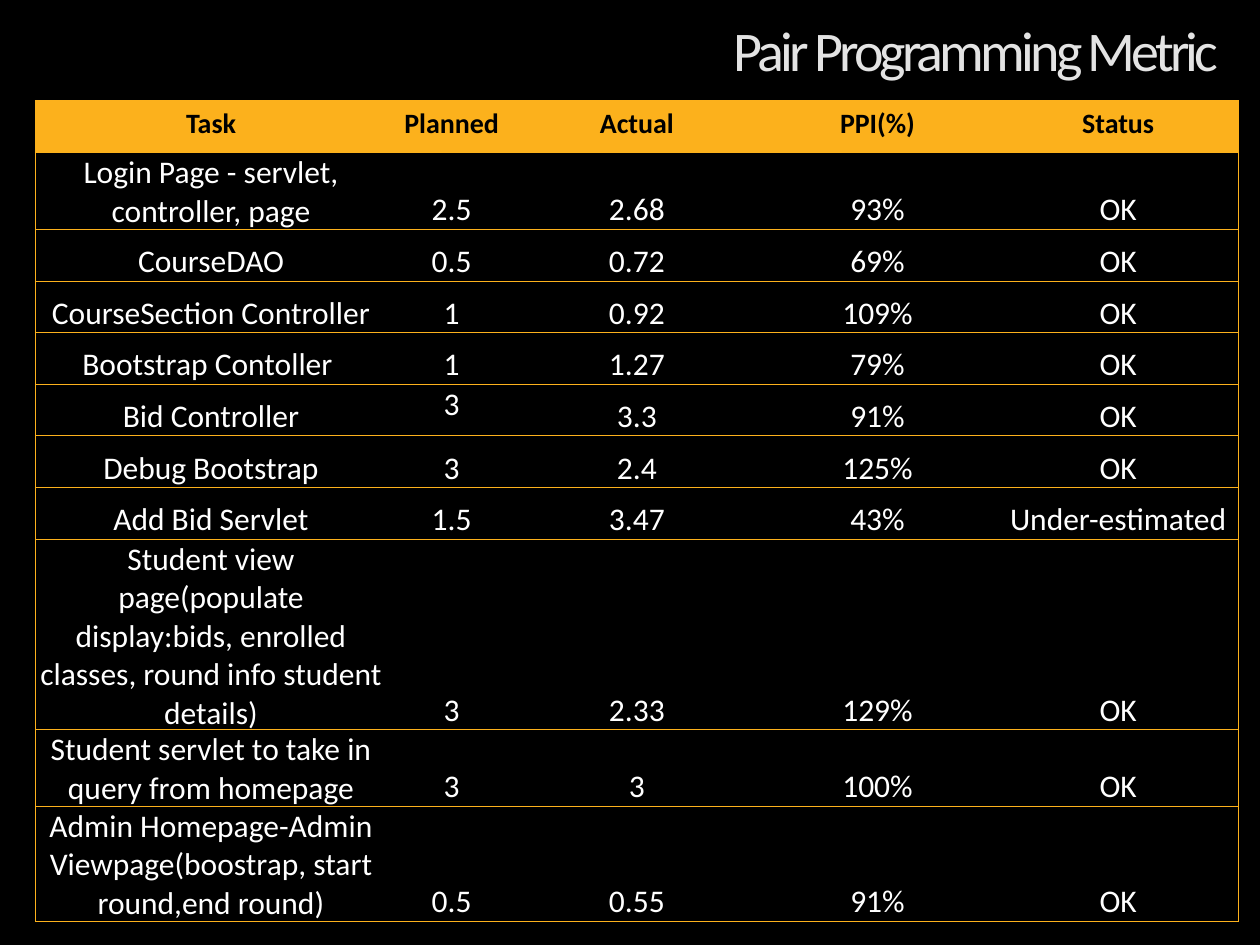
from dataclasses import dataclass

from lxml import etree
from pptx import Presentation
from pptx import util as u
from pptx.dml.color import RGBColor
from pptx.enum import text
from pptx.oxml import ns


@dataclass(frozen=True)
class Theme:
    """Colours, font and type sizes of the slide."""
    font: str = "Calibri"
    backdrop: str = "000000"
    accent: str = "FCB11C"
    heading: str = "E3E3E3"
    header: str = "000000"
    body: str = "FFFFFF"
    heading_size: int = 32
    header_size: int = 16
    body_size: int = 18
    rule: float = 0.5


HEADINGS = ("Task", "Planned", "Actual", "PPI(%)", "Status")
TASKS = (
    ("Login Page - servlet, controller, page", "2.5", "2.68", "93%", "OK"),
    ("CourseDAO", "0.5", "0.72", "69%", "OK"),
    ("CourseSection Controller", "1", "0.92", "109%", "OK"),
    ("Bootstrap Contoller ", "1", "1.27", "79%", "OK"),
    ("Bid Controller", "3", "3.3", "91%", "OK"),
    ("Debug Bootstrap", "3", "2.4", "125%", "OK"),
    ("Add Bid Servlet", "1.5", "3.47", "43%", "Under-estimated"),
    ("Student view page(populate display:bids, enrolled classes, "
     "round info student details)", "3", "2.33", "129%", "OK"),
    ("Student servlet to take in query from homepage", "3", "3", "100%", "OK"),
    ("Admin Homepage-Admin Viewpage(boostrap, start round,end round)",
     "0.5", "0.55", "91%", "OK"),
)
COLUMN_WIDTHS = (2.79, 1.03, 1.91, 1.91, 1.91)
ROW_HEIGHT = 0.41
TOP_ALIGNED = ("Bid Controller", "Planned")


class MetricSlide:
    """Draws the parts of the slide in one theme."""

    def __init__(self, slide, theme):
        self.slide, self.theme = slide, theme
        backdrop = slide.background.fill
        backdrop.solid()
        backdrop.fore_color.rgb = RGBColor.from_string(theme.backdrop)

    def wording(self, frame, words, size, colour, align, bold=False):
        frame.text = words
        frame.word_wrap = True
        paragraph = frame.paragraphs[0]
        paragraph.alignment = align
        font = paragraph.runs[0].font
        font.name, font.size, font.bold = self.theme.font, u.Pt(size), bold
        font.color.rgb = RGBColor.from_string(colour)
        return paragraph

    def title(self, words, left, top, width, height):
        frame = self.slide.shapes.add_textbox(
            u.Inches(left), u.Inches(top),
            u.Inches(width), u.Inches(height)).text_frame
        paragraph = self.wording(frame, words, self.theme.heading_size,
                                 self.theme.heading, text.PP_ALIGN.RIGHT)
        frame.vertical_anchor = text.MSO_ANCHOR.MIDDLE
        paragraph.line_spacing = 0.9
        paragraph.runs[0].font._element.set("spc", "-220")

    def borders(self, cell, first, last):
        properties = cell._tc.get_or_add_tcPr()
        for side, shown in (("L", first), ("R", last), ("T", True), ("B", True)):
            line = etree.SubElement(properties, ns.qn(f"a:ln{side}"),
                                    w=str(u.Pt(self.theme.rule)))
            paint = etree.SubElement(
                line, ns.qn("a:solidFill" if shown else "a:noFill"))
            if shown:
                etree.SubElement(paint, ns.qn("a:srgbClr"), val=self.theme.accent)

    def header_cell(self, cell, words):
        self.wording(cell.text_frame, words, self.theme.header_size,
                     self.theme.header, text.PP_ALIGN.CENTER, bold=True)
        cell.fill.solid()
        cell.fill.fore_color.rgb = RGBColor.from_string(self.theme.accent)

    def body_cell(self, cell, words, anchor):
        self.wording(cell.text_frame, words, self.theme.body_size,
                     self.theme.body, text.PP_ALIGN.CENTER)
        cell.margin_left = cell.margin_right = cell.margin_top = u.Inches(0.01)
        cell.margin_bottom = 0
        cell.vertical_anchor = anchor
        cell.fill.background()

    def table(self, headings, tasks, left, top):
        rows = (headings, *tasks)
        table = self.slide.shapes.add_table(
            len(rows), len(headings), u.Inches(left), u.Inches(top),
            u.Inches(sum(COLUMN_WIDTHS)), u.Inches(ROW_HEIGHT * len(rows))).table
        table.first_row = table.horz_banding = False
        for column, width in zip(table.columns, COLUMN_WIDTHS):
            column.width = u.Inches(width)
        for r, row in enumerate(rows):
            table.rows[r].height = u.Inches(ROW_HEIGHT)
            for c, (heading, words) in enumerate(zip(headings, row)):
                cell = table.cell(r, c)
                self.borders(cell, c == 0, c == len(headings) - 1)
                if r == 0:
                    self.header_cell(cell, words)
                else:
                    raised = (row[0], heading) == TOP_ALIGNED
                    self.body_cell(cell, words, text.MSO_ANCHOR.TOP if raised
                                   else text.MSO_ANCHOR.BOTTOM)


def main():
    deck = Presentation()
    deck.slide_width, deck.slide_height = u.Inches(10), u.Inches(7.5)
    metric = MetricSlide(deck.slides.add_slide(deck.slide_layouts[6]), Theme())
    metric.title("Pair Programming Metric", 1.15, -0.3, 8.62, 1.45)
    metric.table(HEADINGS, TASKS, 0.28, 0.8)
    deck.save("out.pptx")


if __name__ == "__main__":
    main()
